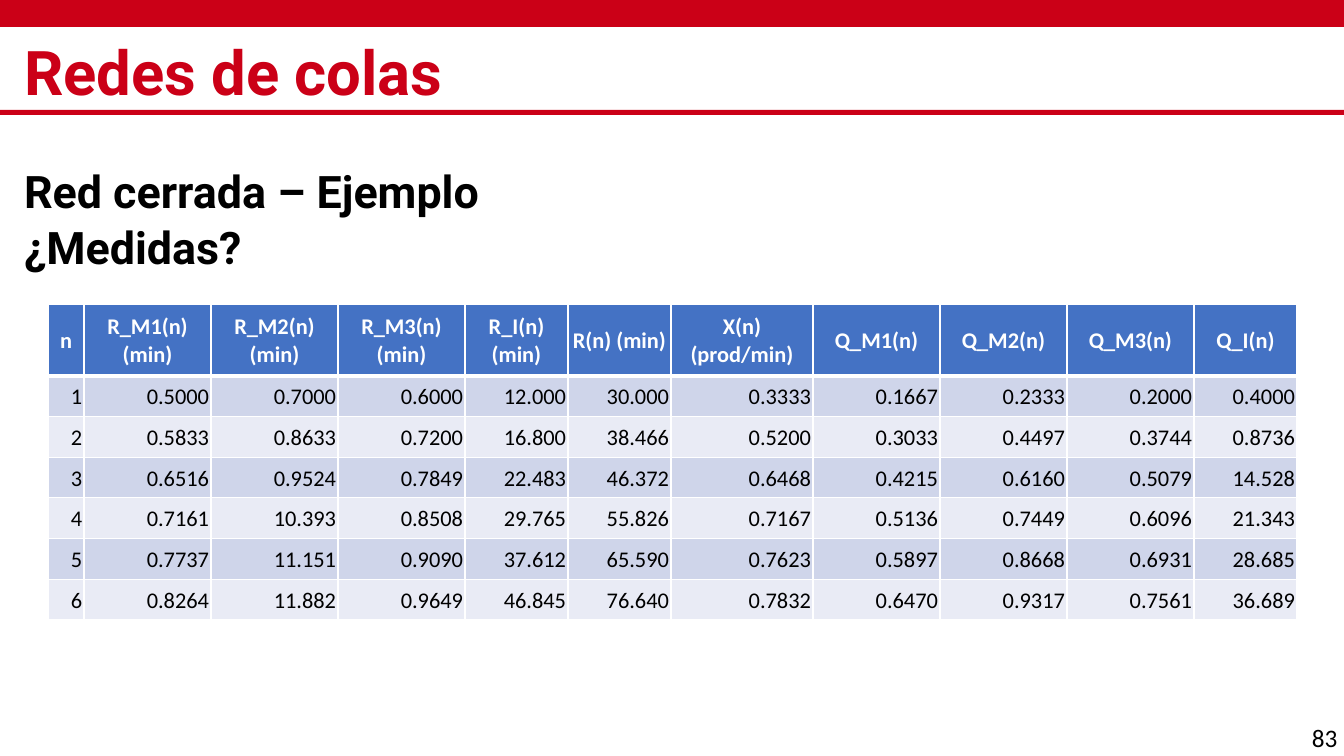
from lxml.etree import SubElement
from pptx import Presentation
from pptx.dml.color import RGBColor
from pptx.enum.shapes import MSO_SHAPE
from pptx.enum.text import MSO_ANCHOR, MSO_AUTO_SIZE, PP_ALIGN
from pptx.oxml.ns import qn
from pptx.util import Pt

EMU_PER_PX = 914400 / 100.8
RED, BLACK, WHITE = "CB0017", "000000", "FFFFFF"
HEADER_BLUE, BAND_DARK, BAND_LIGHT = "4472C4", "CFD5EA", "E9EBF5"

HEADERS = ["n", "R_M1(n) (min)", "R_M2(n) (min)", "R_M3(n) (min)", "R_I(n) (min)",
           "R(n) (min)", "X(n) (prod/min)", "Q_M1(n)", "Q_M2(n)", "Q_M3(n)", "Q_I(n)"]
MEASURES = [
    "1 0.5000 0.7000 0.6000 12.000 30.000 0.3333 0.1667 0.2333 0.2000 0.4000",
    "2 0.5833 0.8633 0.7200 16.800 38.466 0.5200 0.3033 0.4497 0.3744 0.8736",
    "3 0.6516 0.9524 0.7849 22.483 46.372 0.6468 0.4215 0.6160 0.5079 14.528",
    "4 0.7161 10.393 0.8508 29.765 55.826 0.7167 0.5136 0.7449 0.6096 21.343",
    "5 0.7737 11.151 0.9090 37.612 65.590 0.7623 0.5897 0.8668 0.6931 28.685",
    "6 0.8264 11.882 0.9649 46.845 76.640 0.7832 0.6470 0.9317 0.7561 36.689",
]
COLUMN_WIDTHS = [36, 127, 127, 127, 103, 103, 142, 127, 127, 127, 103]


def px(length):
    return round(length * EMU_PER_PX)


def color(hex_value):
    return RGBColor.from_string(hex_value)


class SlideBuilder:
    heading_font = "Roboto"
    body_font = "Calibri"

    def __init__(self, slide):
        self.slide = slide

    def format_runs(self, paragraph, font_name, size, font_color, bold=False):
        for run in paragraph.runs:
            run.font.name = font_name
            run.font.size = Pt(size)
            run.font.bold = bold
            run.font.color.rgb = color(font_color)

    def bar(self, top, height):
        shape = self.slide.shapes.add_shape(
            MSO_SHAPE.RECTANGLE, 0, px(top), px(1344), px(height))
        shape.shadow.inherit = False
        shape.fill.solid()
        shape.fill.fore_color.rgb = color(RED)
        shape.line.fill.background()

    def heading(self, placeholder, text, box, size, font_color, space_before=0):
        left, top, width, height = map(px, box)
        placeholder.left, placeholder.top = left, top
        placeholder.width, placeholder.height = width, height
        frame = placeholder.text_frame
        frame.text = text
        frame.word_wrap = True
        frame.auto_size = MSO_AUTO_SIZE.NONE
        frame.vertical_anchor = MSO_ANCHOR.MIDDLE
        frame.margin_left = frame.margin_right = 0
        frame.margin_top = frame.margin_bottom = 0
        for paragraph in frame.paragraphs:
            paragraph.alignment = PP_ALIGN.LEFT
            paragraph.line_spacing = 0.9
            paragraph.space_before = Pt(space_before)
            self.format_runs(paragraph, self.heading_font, size, font_color, True)

    def label(self, text, box, size):
        frame = self.slide.shapes.add_textbox(*map(px, box)).text_frame
        frame.text = text
        frame.word_wrap = True
        self.format_runs(frame.paragraphs[0], self.body_font, size, BLACK)

    def borders(self, cell, top, bottom):
        properties = cell._tc.get_or_add_tcPr()
        for side, width in (("L", 1), ("R", 1), ("T", top), ("B", bottom)):
            line = SubElement(properties, qn(f"a:ln{side}"), w=str(Pt(width)))
            fill = SubElement(line, qn("a:solidFill"))
            SubElement(fill, qn("a:srgbClr"), val=WHITE)

    def cell(self, cell, text, row):
        is_header = row == 0
        self.borders(cell, 3 if row == 1 else 1, 3 if is_header else 1)
        cell.fill.solid()
        band = BAND_DARK if row % 2 else BAND_LIGHT
        cell.fill.fore_color.rgb = color(HEADER_BLUE if is_header else band)
        cell.vertical_anchor = MSO_ANCHOR.MIDDLE
        cell.margin_left = cell.margin_right = cell.margin_top = px(2)
        cell.margin_bottom = 0
        cell.text_frame.text = text
        paragraph = cell.text_frame.paragraphs[0]
        paragraph.alignment = PP_ALIGN.CENTER if is_header else PP_ALIGN.RIGHT
        self.format_runs(paragraph, self.body_font, 16,
                         WHITE if is_header else BLACK, is_header)

    def table(self, rows, left, top, column_widths, height, header_height):
        table = self.slide.shapes.add_table(
            len(rows), len(column_widths), px(left), px(top),
            px(sum(column_widths)), px(height)).table
        for column, width in zip(table.columns, column_widths):
            column.width = px(width)
        row_height = (height - header_height) / (len(rows) - 1)
        for row, values in enumerate(rows):
            table.rows[row].height = px(row_height if row else header_height)
            for column, value in enumerate(values):
                self.cell(table.cell(row, column), value, row)


def main():
    presentation = Presentation()
    presentation.slide_width, presentation.slide_height = px(1344), px(756)
    slide = presentation.slides.add_slide(presentation.slide_layouts[0])
    builder = SlideBuilder(slide)

    # Red bands around the title
    builder.bar(-1, 28)
    builder.bar(110, 5)

    # Title and subtitle
    builder.heading(slide.shapes.title, "Redes de colas", (24, 39, 1295, 74), 44, RED)
    builder.heading(slide.placeholders[1], "Red cerrada – Ejemplo\n¿Medidas?",
                    (24, 165, 1267, 114), 32, BLACK, space_before=5)

    # Slide number
    builder.label("83", (1302, 717, 57, 40), 18)

    # Measures for each population size
    rows = [HEADERS] + [line.split() for line in MEASURES]
    builder.table(rows, 48, 304, COLUMN_WIDTHS, height=316, header_height=72)

    presentation.save("out.pptx")


if __name__ == "__main__":
    main()
